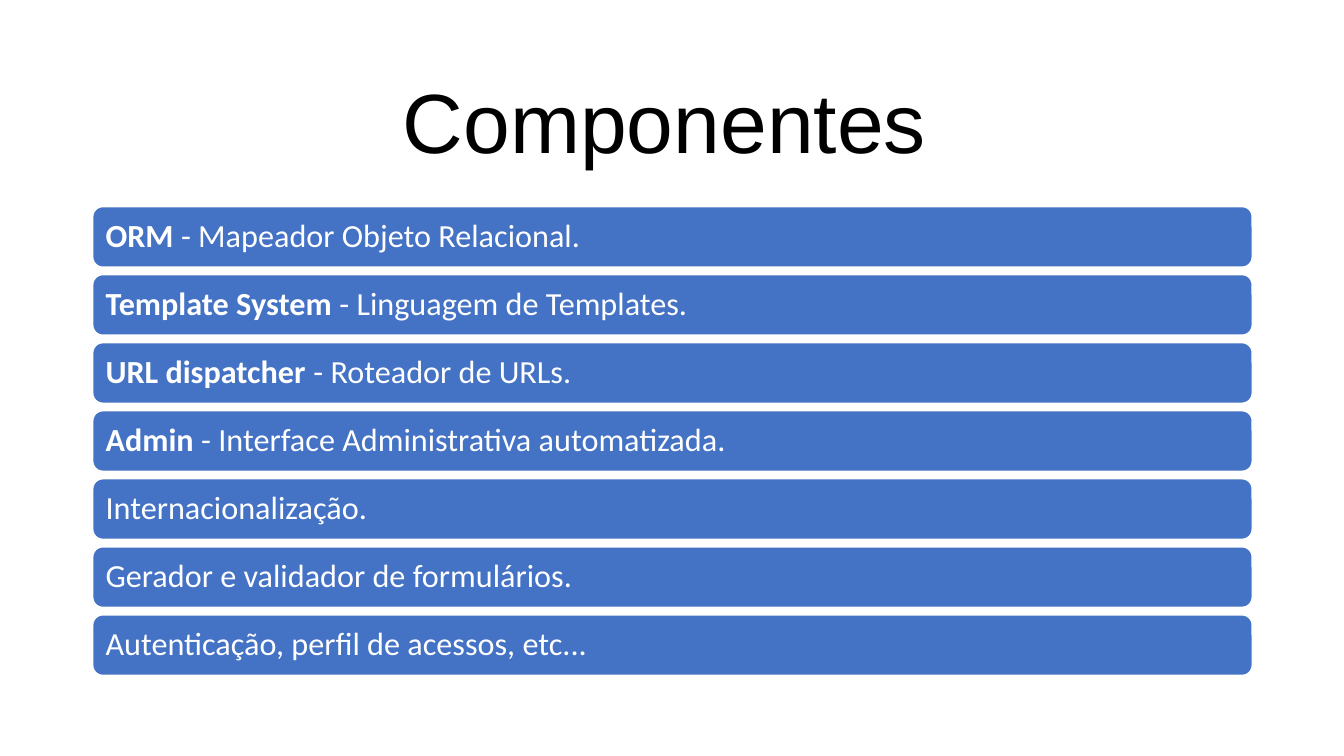
"""Build the "Componentes" slide: a heading above a stack of component bars."""
from pptx import Presentation
from pptx.dml.color import RGBColor
from pptx.enum.shapes import MSO_SHAPE
from pptx.enum.text import MSO_ANCHOR, PP_ALIGN
from pptx.util import Inches, Pt

COLORS = {"bar": "4472C4", "edge": "FFFFFF", "bar_text": "FFFFFF", "heading": "000000"}
LEFT, WIDTH = 0.92, 11.5
FIRST_ROW, ROW_PITCH, BAR_SHARE = 2.05, 0.675, 0.89
COMPONENTS = [
    ("ORM ", "- Mapeador Objeto Relacional."),
    ("Template System ", "- Linguagem de Templates."),
    ("URL dispatcher ", "- Roteador de URLs."),
    ("Admin ", "- Interface Administrativa automatizada."),
    ("", "Internacionalização."),
    ("", "Gerador e validador de formulários."),
    ("", "Autenticação, perfil de acessos, etc..."),
]


def color(role):
    return RGBColor.from_string(COLORS[role])


def apply(target, values):
    for attribute, value in values.items():
        setattr(target, attribute, value)


def set_frame(frame, align, left, top, right, bottom):
    apply(frame, {
        "word_wrap": True,
        "vertical_anchor": MSO_ANCHOR.MIDDLE,
        "margin_left": Inches(left),
        "margin_top": Inches(top),
        "margin_right": Inches(right),
        "margin_bottom": Inches(bottom),
    })
    line = frame.paragraphs[0]
    apply(line, {"alignment": align, "line_spacing": 0.9})
    return line


def add_words(line, words, role, **font_values):
    run = line.add_run()
    run.text = words
    apply(run.font, font_values)
    run.font.color.rgb = color(role)


def add_heading(slide, words):
    heading = slide.shapes.add_textbox(
        Inches(LEFT), Inches(0.4), Inches(WIDTH), Inches(1.45))
    line = set_frame(heading.text_frame, PP_ALIGN.CENTER, 0.1, 0.31, 0.26, 0.05)
    add_words(line, words, "heading", name="Arial", size=Pt(60))


def add_component(slide, row, term, meaning):
    bar = slide.shapes.add_shape(
        MSO_SHAPE.ROUNDED_RECTANGLE, Inches(LEFT), Inches(FIRST_ROW + row * ROW_PITCH),
        Inches(WIDTH), Inches(ROW_PITCH * BAR_SHARE))
    bar.shadow.inherit = False
    bar.fill.solid()
    bar.fill.fore_color.rgb = color("bar")
    bar.line.color.rgb = color("edge")
    bar.line.width = Pt(1)
    line = set_frame(bar.text_frame, PP_ALIGN.LEFT, 0.1, 0.1, 0.1, 0.1)
    for words, bold in ((term, True), (meaning, False)):
        if words:
            add_words(line, words, "bar_text", name="Calibri", size=Pt(23), bold=bold)


def main():
    deck = Presentation()
    apply(deck, {"slide_width": Inches(13.33), "slide_height": Inches(7.5)})
    slide = deck.slides.add_slide(deck.slide_layouts[6])
    add_heading(slide, "Componentes")
    for row, (term, meaning) in enumerate(COMPONENTS):
        add_component(slide, row, term, meaning)
    deck.save("out.pptx")


if __name__ == "__main__":
    main()
